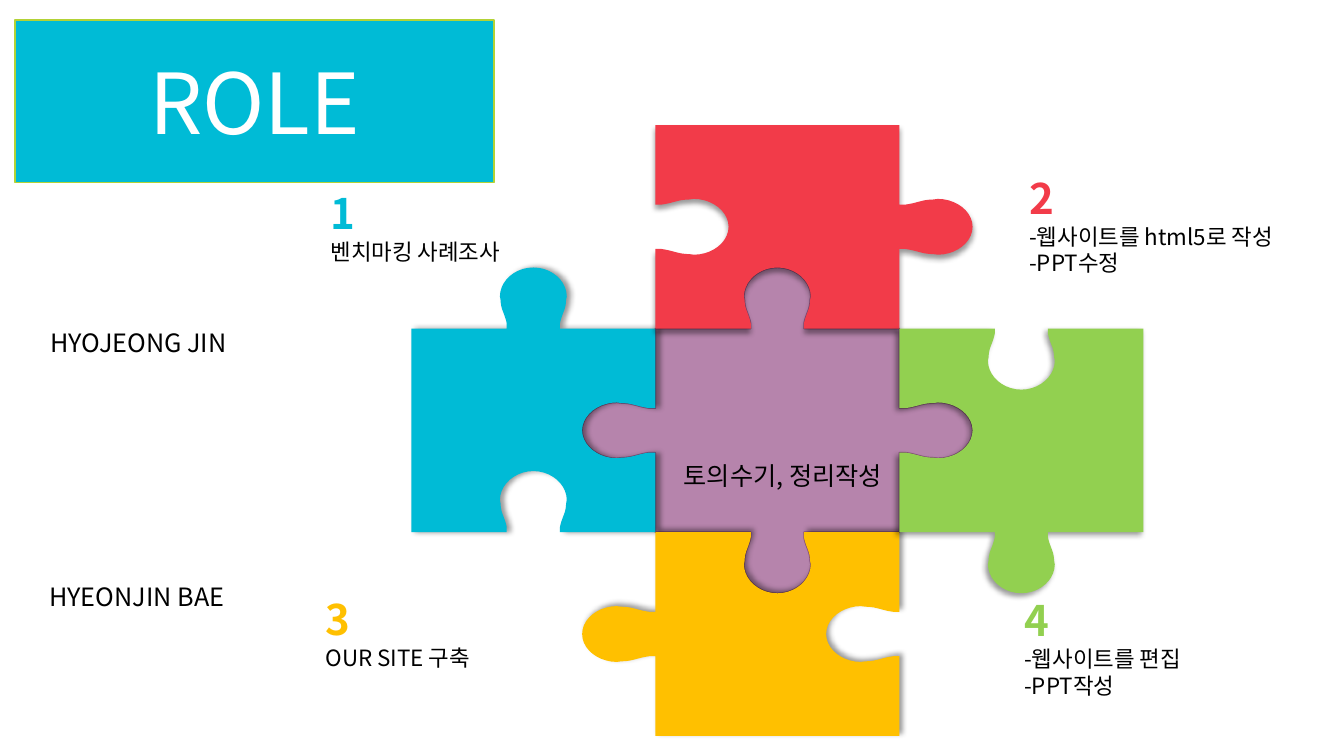
from lxml.etree import SubElement
from pptx import Presentation
from pptx.dml.color import RGBColor
from pptx.enum.shapes import MSO_SHAPE
from pptx.enum.text import MSO_ANCHOR, PP_ALIGN
from pptx.oxml.ns import qn
from pptx.util import Inches, Pt

FONT = "Noto Sans CJK KR"
BLUE, RED, GOLD = "00BBD6", "F23B49", "FFC000"
GREEN, PLUM, BLACK, WHITE = "92D050", "B684AC", "000000", "FFFFFF"
CELL_W, CELL_H = 2.42, 2.02
FLAT, TAB, HOLE = 0, 1, -1

NECK = [(-0.109, 0.025), (-0.117, 0.074), (-0.134, 0.094), (-0.134, 0.139)]
HEAD = [(-0.137, 0.158), (-0.137, 0.233), (-0.076, 0.3), (0, 0.3)]


def color(code):
    return RGBColor.from_string(code)


def bezier(points, steps=10):
    curve = []
    for i in range(steps + 1):
        t = i / steps
        weights = ((1 - t) ** 3, 3 * t * (1 - t) ** 2, 3 * t * t * (1 - t), t ** 3)
        curve.append(tuple(sum(w * p[axis] for w, p in zip(weights, points))
                           for axis in (0, 1)))
    return curve


HALF = [(-0.109, 0)] + bezier(NECK) + bezier(HEAD)
KNOB = HALF + [(-along, out) for along, out in reversed(HALF[:-1])]


def outline(sides):
    x, y, dx, dy = 0, 0, 1, 0
    points = []
    for kind in sides:
        points.append((x, y))
        if kind != FLAT:
            for along, out in KNOB:
                a, b = 0.5 + along, out * kind
                points.append((x + dx * a + dy * b, y + dy * a - dx * b))
        x, y, dx, dy = x + dx, y + dy, -dy, dx
    return points


def add_shadow(shape, angle):
    effects = shape._element.spPr.find(qn("a:effectLst"))
    shadow = SubElement(effects, qn("a:outerShdw"), blurRad=str(Pt(4)),
                        dist=str(Pt(3)), dir=str(angle * 60000),
                        algn="ctr", rotWithShape="0")
    tint = SubElement(shadow, qn("a:srgbClr"), val=BLACK)
    SubElement(tint, qn("a:alpha"), val="40000")


def add_piece(slide, left, top, sides, fill, angle=None, line=None):
    points = [(Inches(left + x * CELL_W), Inches(top + y * CELL_H))
              for x, y in outline(sides)]
    builder = slide.shapes.build_freeform(*points[0], scale=1.0)
    builder.add_line_segments(points[1:], close=True)
    piece = builder.convert_to_shape()
    piece.shadow.inherit = False
    piece.fill.solid()
    piece.fill.fore_color.rgb = color(fill)
    if line:
        piece.line.color.rgb = color(line)
        piece.line.width = Pt(1)
    else:
        piece.line.fill.background()
    if angle is not None:
        add_shadow(piece, angle)


def add_puzzle(slide, left, top):
    pieces = [
        (1, 1, (TAB, TAB, TAB, TAB), PLUM, None, "834D79"),
        (0, 1, (TAB, HOLE, HOLE, FLAT), BLUE, 0, None),
        (1, 0, (FLAT, TAB, HOLE, HOLE), RED, 90, None),
        (1, 2, (HOLE, HOLE, FLAT, TAB), GOLD, 315, None),
        (2, 1, (HOLE, FLAT, TAB, HOLE), GREEN, 135, None),
    ]
    for col, row, sides, fill, angle, line in pieces:
        add_piece(slide, left + col * CELL_W, top + row * CELL_H,
                  sides, fill, angle, line)


def style(para, size, tint, bold=False):
    for run in para.runs:
        font = run.font
        font.size, font.bold, font.name = Pt(size), bold, FONT
        font.color.rgb = color(tint)
        SubElement(run._r.get_or_add_rPr(), qn("a:ea"), typeface=FONT)


def add_label(slide, box, text, align=PP_ALIGN.LEFT):
    frame = slide.shapes.add_textbox(*map(Inches, box)).text_frame
    frame.word_wrap = True
    frame.text = text
    frame.paragraphs[0].alignment = align
    style(frame.paragraphs[0], 18, BLACK)


def add_role(slide, box, number, tint, tasks):
    frame = slide.shapes.add_textbox(*map(Inches, box)).text_frame
    frame.word_wrap = True
    frame.text = "\n".join([number, *tasks])
    head, *rest = frame.paragraphs
    style(head, 30, tint, True)
    for para in rest:
        style(para, 16, BLACK)


def add_title(slide, box, text):
    banner = slide.shapes.add_shape(MSO_SHAPE.RECTANGLE, *map(Inches, box))
    banner.shadow.inherit = False
    banner.fill.solid()
    banner.fill.fore_color.rgb = color(BLUE)
    banner.line.color.rgb = color("B3D236")
    banner.line.width = Pt(1)
    frame = banner.text_frame
    frame.text = text
    frame.vertical_anchor = MSO_ANCHOR.MIDDLE
    frame.paragraphs[0].alignment = PP_ALIGN.CENTER
    style(frame.paragraphs[0], 60, WHITE)


def main():
    deck = Presentation()
    deck.slide_width, deck.slide_height = Inches(13.33), Inches(7.5)
    slide = deck.slides.add_slide(deck.slide_layouts[6])
    add_puzzle(slide, 4.08, 1.24)
    roles = [
        ((3.18, 1.81, 3.15, 1.88), "1", BLUE, ["벤치마킹 사례조사"]),
        ((10.11, 1.66, 2.92, 1.41), "2", RED,
         ["-웹사이트를 html5로 작성", "-PPT수정"]),
        ((3.13, 5.84, 2.86, 0.88), "3", GOLD, ["OUR SITE 구축"]),
        ((10.06, 5.85, 2.92, 1.14), "4", GREEN, ["-웹사이트를 편집", "-PPT작성"]),
    ]
    for role in roles:
        add_role(slide, *role)
    add_title(slide, (0.15, 0.2, 4.75, 1.61), "ROLE")
    add_label(slide, (0.4, 3.2, 2.02, 0.4), "HYOJEONG JIN")
    add_label(slide, (0.39, 5.72, 2.02, 0.4), "HYEONJIN BAE")
    add_label(slide, (6.51, 4.52, 2.51, 0.4), "토의수기, 정리작성", PP_ALIGN.CENTER)
    deck.save("out.pptx")


if __name__ == "__main__":
    main()
